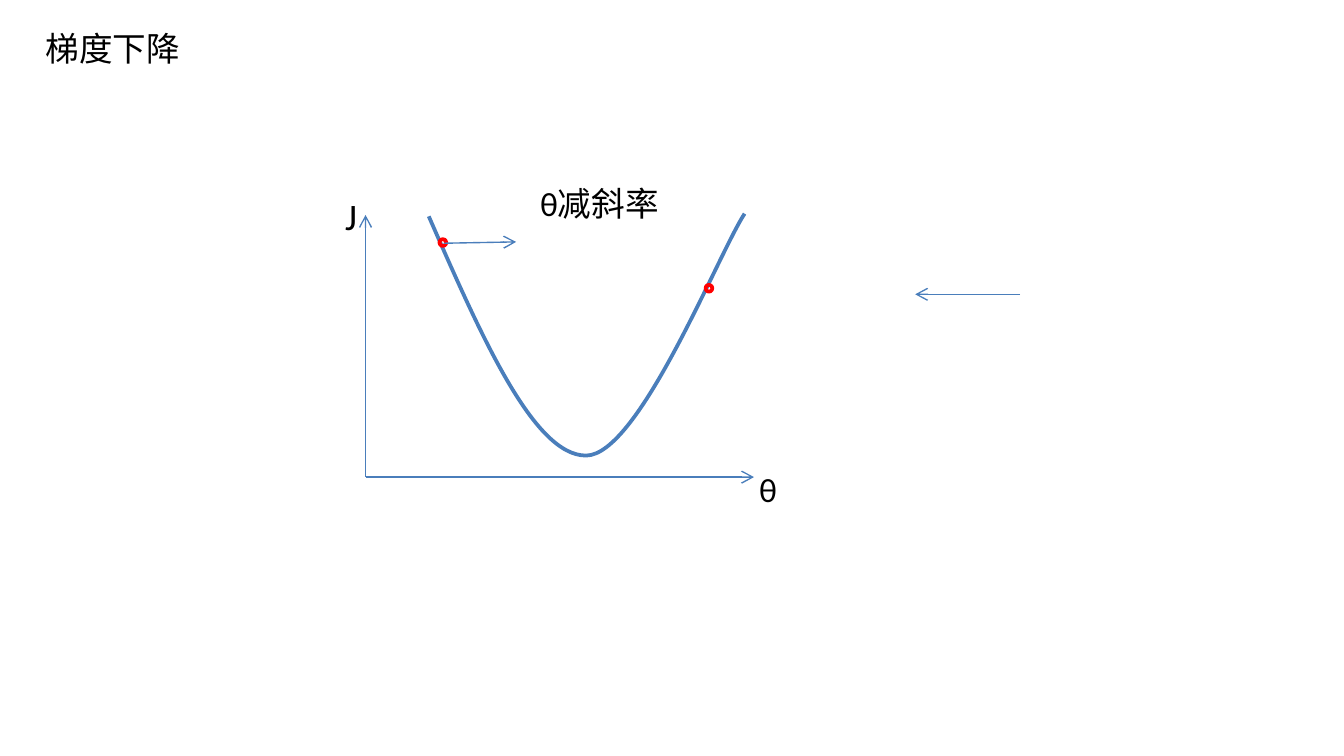
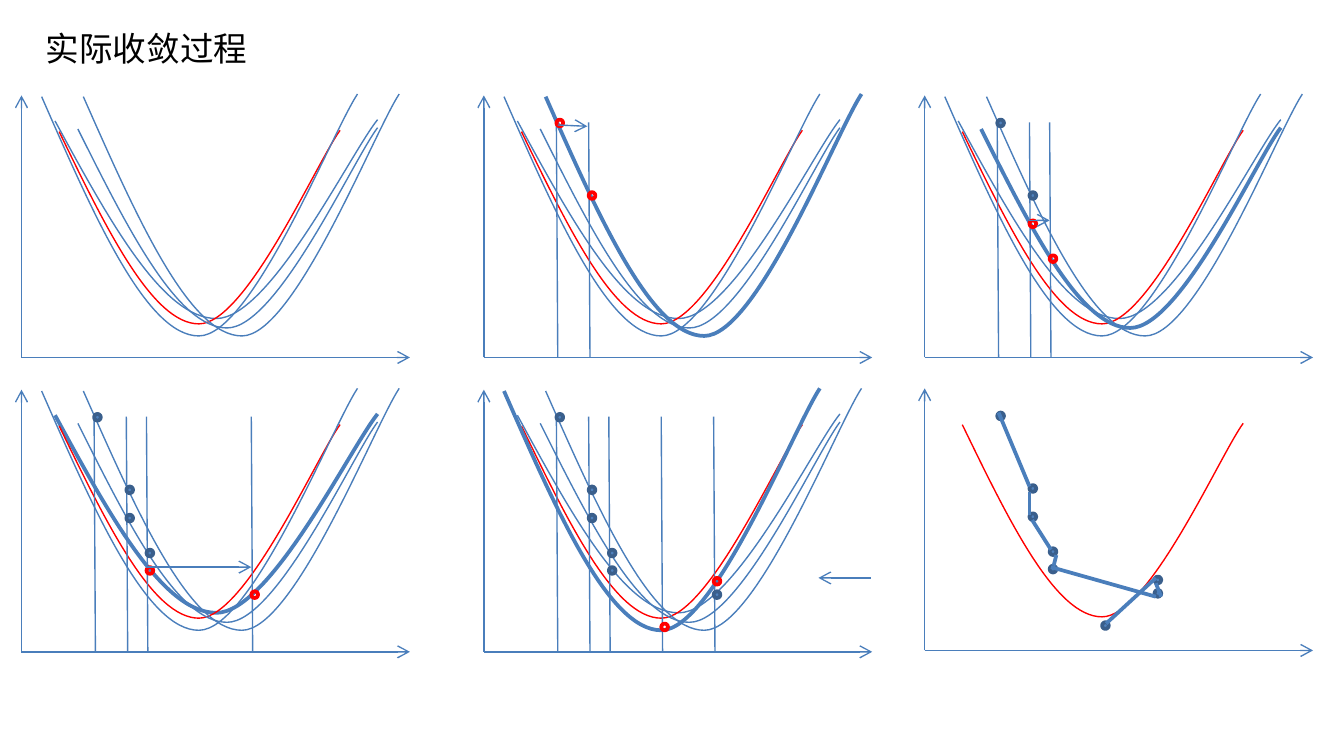
"""Build two slides on gradient descent and its real convergence path."""
from dataclasses import dataclass
from typing import NamedTuple

from lxml.etree import SubElement
from pptx import Presentation
from pptx.dml.color import RGBColor
from pptx.enum.shapes import MSO_CONNECTOR as Connector, MSO_SHAPE as Preset
from pptx.enum.text import MSO_ANCHOR as Anchor, MSO_AUTO_SIZE as AutoSize, PP_ALIGN as Align
from pptx.oxml.ns import qn
from pptx.slide import Slide
from pptx.util import Inches, Pt

BLACK = RGBColor(0x00, 0x00, 0x00)
BLUE = RGBColor(0x4A, 0x7E, 0xBB)
RED = RGBColor(0xFF, 0x00, 0x00)
PAST_FILL = RGBColor(0x4F, 0x81, 0xBD)
PAST_EDGE = RGBColor(0x3A, 0x5F, 0x8C)
FONT = "Calibri"
THIN, BOLD = 0.75, 2
MARKER_SIZE = 0.05
AXIS_WIDTH, AXIS_HEIGHT = 2.89, 1.95
GUIDE_TOP, GUIDE_BOTTOM, GUIDE_SLANT = 0.91, 2.66, 0.01


class Point(NamedTuple):
    x: float
    y: float

    def shifted(self, offset: "Point") -> "Point":
        return Point(self.x + offset.x, self.y + offset.y)

    def toward(self, target: "Point", across: float, down: float) -> "Point":
        return Point(self.x + (target.x - self.x) * across, self.y + (target.y - self.y) * down)


@dataclass(frozen=True)
class Valley:
    start: Point
    bottom: Point
    end: Point
    color: RGBColor = BLUE


@dataclass(frozen=True)
class Segment:
    start: Point
    end: Point


@dataclass(frozen=True)
class Panel:
    offset: Point
    bold: int | None = None
    past: int = 0
    current: int = 0
    guides: int = 0
    move: Segment | None = None


WIDE = Valley(Point(0.41, 0.9), Point(1.61, 2.37), Point(2.81, 0.89))
MEAN = Valley(Point(0.44, 0.98), Point(1.48, 2.41), Point(2.53, 0.97), RED)
SHALLOW = Valley(Point(0.58, 0.96), Point(1.69, 2.44), Point(2.81, 0.95))
STEEP_LEFT = Valley(Point(0.31, 0.72), Point(1.48, 2.5), Point(2.66, 0.7))
STEEP_RIGHT = Valley(Point(0.62, 0.72), Point(1.8, 2.5), Point(2.97, 0.7))
LOSSES = [WIDE, MEAN, SHALLOW, STEEP_LEFT, STEEP_RIGHT]

STEPS = [Point(0.7, 0.89), Point(0.94, 1.43), Point(0.94, 1.64), Point(1.09, 1.9),
         Point(1.09, 2.03), Point(1.87, 2.21), Point(1.87, 2.11), Point(1.48, 2.45)]
GUIDE_XS = [0.7, 0.94, 1.09, 1.87, 1.48]
AXIS_ORIGIN = Point(0.16, 2.66)
COLUMNS = [0, 3.44, 6.72]
LOWER_ROW = 2.19
PANELS = [
    Panel(Point(COLUMNS[0], 0)),
    Panel(Point(COLUMNS[1], 0), LOSSES.index(STEEP_RIGHT), 0, 2, 2,
          Segment(Point(0.71, 0.93), Point(0.93, 0.94))),
    Panel(Point(COLUMNS[2], 0), LOSSES.index(SHALLOW), 2, 2, 3,
          Segment(Point(0.94, 1.64), Point(1.09, 1.64))),
    Panel(Point(COLUMNS[0], LOWER_ROW), LOSSES.index(WIDE), 4, 2, 4,
          Segment(Point(1.09, 2.03), Point(1.87, 2.03))),
    Panel(Point(COLUMNS[1], LOWER_ROW), LOSSES.index(STEEP_LEFT), 6, 2, 5,
          Segment(Point(3.04, 2.11), Point(2.65, 2.11))),
]
SUMMARY = Point(COLUMNS[2], 2.18)
DESCENT = [
    Segment(Point(0.71, 0.89), Point(0.94, 1.44)),
    Segment(Point(0.94, 1.48), Point(0.94, 1.65)),
    Segment(Point(0.96, 1.69), Point(1.1, 1.91)),
    Segment(Point(1.14, 1.95), Point(1.12, 2.03)),
    Segment(Point(1.1, 2.04), Point(1.88, 2.26)),
    Segment(Point(1.92, 2.26), Point(1.88, 2.16)),
    Segment(Point(1.88, 2.12), Point(1.51, 2.46)),
]


def format_text(shape, words: str, size: float, align: Align) -> None:
    frame = shape.text_frame
    frame.text = words
    frame.word_wrap = False
    frame.auto_size = AutoSize.NONE
    frame.vertical_anchor = Anchor.TOP
    paragraph = frame.paragraphs[0]
    paragraph.alignment = align
    paragraph.font.name = FONT
    paragraph.font.size = Pt(size)
    paragraph.font.color.rgb = BLACK


def add_titled_slide(deck, words: str, width: float) -> Slide:
    slide = deck.slides.add_slide(deck.slide_layouts.get_by_name("Title Only"))
    title = slide.shapes.title
    title.left, title.top = Inches(0.24), Inches(0.16)
    title.width, title.height = Inches(width), Inches(0.4)
    format_text(title, words, 18, Align.LEFT)
    return slide


def add_label(slide: Slide, words: str, at: Point, width: float, height: float = 0.4,
              size: float = 18, align: Align = Align.CENTER) -> None:
    label = slide.shapes.add_textbox(Inches(at.x), Inches(at.y), Inches(width), Inches(height))
    format_text(label, words, size, align)


def add_line(slide: Slide, start: Point, end: Point, weight: float = THIN,
             arrow: bool = False) -> None:
    connector = slide.shapes.add_connector(
        Connector.STRAIGHT, *(Inches(length) for length in (*start, *end)))
    connector.line.color.rgb = BLUE
    connector.line.width = Pt(weight)
    if arrow:
        SubElement(connector.line._get_or_add_ln(), qn("a:tailEnd"), type="arrow")
    SubElement(connector._element.spPr, qn("a:effectLst"))


def add_axes(slide: Slide, origin: Point) -> None:
    add_line(slide, origin, Point(origin.x + AXIS_WIDTH, origin.y), arrow=True)
    add_line(slide, origin, Point(origin.x, origin.y - AXIS_HEIGHT), arrow=True)


def add_valley(slide: Slide, valley: Valley, offset: Point, weight: float = THIN) -> None:
    start, bottom, end = valley.start, valley.bottom, valley.end
    knots = [start, start.toward(bottom, 1 / 3, 1 / 2), start.toward(bottom, 2 / 3, 1), bottom,
             bottom.toward(end, 1 / 3, 0), bottom.toward(end, 5 / 6, 5 / 6), end]
    first, *rest = [tuple(Inches(length) for length in knot.shifted(offset)) for knot in knots]
    builder = slide.shapes.build_freeform(*first)
    builder.add_line_segments(rest, close=False)
    curve = builder.convert_to_shape()
    outline = next(curve._element.iter(qn("a:path")))
    straights = outline.findall(qn("a:lnTo"))
    for half in (straights[:3], straights[3:]):
        bend = SubElement(outline, qn("a:cubicBezTo"))
        for straight in half:
            bend.append(straight[0])
            outline.remove(straight)
    curve.shadow.inherit = False
    curve.fill.background()
    curve.line.color.rgb = valley.color
    curve.line.width = Pt(weight)


def add_marker(slide: Slide, at: Point, past: bool = False) -> None:
    marker = slide.shapes.add_shape(
        Preset.OVAL, Inches(at.x), Inches(at.y), Inches(MARKER_SIZE), Inches(MARKER_SIZE))
    marker.shadow.inherit = False
    if past:
        marker.fill.solid()
        marker.fill.fore_color.rgb = PAST_FILL
    else:
        marker.fill.background()
    marker.line.color.rgb = PAST_EDGE if past else RED
    marker.line.width = Pt(2)


def add_panel(slide: Slide, panel: Panel) -> None:
    offset = panel.offset
    for index, loss in enumerate(LOSSES):
        add_valley(slide, loss, offset, BOLD if index == panel.bold else THIN)
    add_axes(slide, AXIS_ORIGIN.shifted(offset))
    for x in GUIDE_XS[:panel.guides]:
        add_line(slide, Point(x, GUIDE_TOP).shifted(offset),
                 Point(x + GUIDE_SLANT, GUIDE_BOTTOM).shifted(offset))
    for index, step in enumerate(STEPS[:panel.past + panel.current]):
        add_marker(slide, step.shifted(offset), past=index < panel.past)
    if panel.move:
        add_line(slide, panel.move.start.shifted(offset), panel.move.end.shifted(offset),
                 arrow=True)


def add_descent_slide(deck) -> None:
    slide = add_titled_slide(deck, "梯度下降", 1.25)
    add_valley(slide, STEEP_LEFT, Point(2.88, 0.89), BOLD)
    add_axes(slide, Point(2.72, 3.55))
    for at in (Point(3.27, 1.78), Point(5.25, 2.12)):
        add_marker(slide, at)
    add_line(slide, Point(7.59, 2.19), Point(6.81, 2.19), arrow=True)
    add_line(slide, Point(3.3, 1.81), Point(3.84, 1.8), arrow=True)
    add_label(slide, "J", Point(2.47, 1.39), 0.29, 0.43, 20, Align.LEFT)
    add_label(slide, "θ", Point(5.55, 3.44), 0.33)
    add_label(slide, "θ减斜率", Point(3.89, 1.31), 1.14)


def add_convergence_slide(deck) -> None:
    slide = add_titled_slide(deck, "实际收敛过程", 1.75)
    for panel in PANELS:
        add_panel(slide, panel)
    add_valley(slide, MEAN, SUMMARY)
    add_axes(slide, AXIS_ORIGIN.shifted(SUMMARY))
    for step in STEPS:
        add_marker(slide, step.shifted(SUMMARY), past=True)
    for leg in DESCENT:
        add_line(slide, leg.start.shifted(SUMMARY), leg.end.shifted(SUMMARY), BOLD)


def main() -> None:
    deck = Presentation()
    deck.slide_width = Inches(10)
    deck.slide_height = deck.slide_width * 9 // 16
    add_descent_slide(deck)
    add_convergence_slide(deck)
    deck.save("out.pptx")


main()
